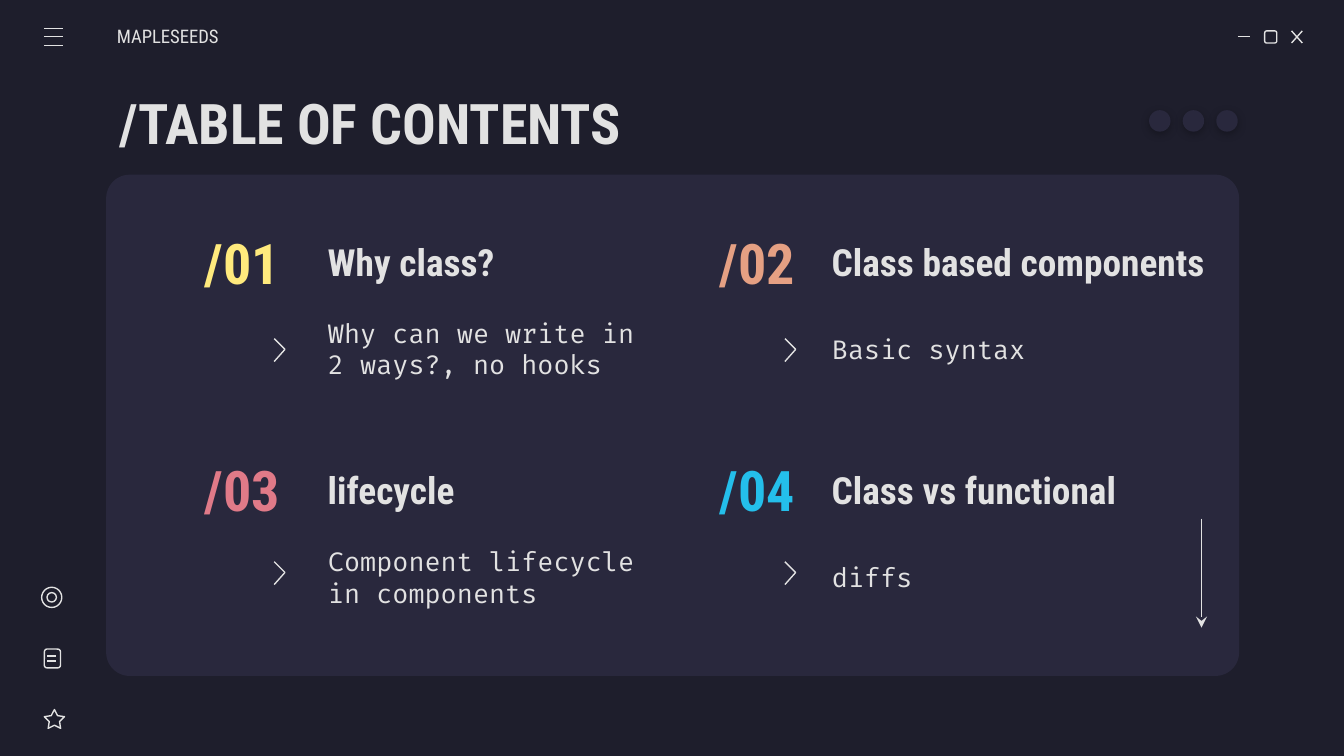
from lxml.etree import SubElement
from pptx import Presentation
from pptx.dml.color import RGBColor
from pptx.enum.shapes import MSO_CONNECTOR, MSO_SHAPE as Preset
from pptx.enum.text import MSO_ANCHOR, MSO_AUTO_SIZE, PP_ALIGN as Align
from pptx.oxml.ns import qn
from pptx.util import Inches, Pt

NIGHT, PANEL, LIGHT = "1E1E2C", "29283D", "E2E2E2"
SANS, CODE = "Roboto Condensed", "Fira Code"

BRAND = "MAPLESEEDS"
TITLE = "/TABLE OF CONTENTS"
TOPICS = [
    ("/01", "FFEA7D", "Why class?", "Why can we write in 2 ways?, no hooks"),
    ("/02", "E5A083", "Class based components", "Basic syntax"),
    ("/03", "E07A88", "lifecycle", "Component lifecycle in components"),
    ("/04", "24BFEB", "Class vs functional", "diffs"),
]
COLUMNS = [
    {"number": 1.35, "text": 2.34, "heading_width": 2.85, "chevron": 2.04},
    {"number": 5.18, "text": 6.09, "heading_width": 3.06, "chevron": 5.84},
]
ROWS = [
    {"heading": 1.67, "detail": 2.22, "chevron": 2.52},
    {"heading": 3.36, "detail": 3.92, "chevron": 4.18},
]
MENU_BARS = [(0.33, y, 0.47, y) for y in (0.21, 0.27, 0.34)]
NOTE_LINES = [(0.35, y, 0.42, y) for y in (4.88, 4.92)]
WINDOW_LINES = [(9.21, 0.27, 9.3, 0.27), (9.61, 0.23, 9.69, 0.32), (9.69, 0.23, 9.61, 0.32)]
ICONS = [
    (Preset.ROUNDED_RECTANGLE, 9.41, 0.23, 0.09, 0.09),
    (Preset.OVAL, 0.31, 4.37, 0.15, 0.15),
    (Preset.OVAL, 0.35, 4.41, 0.07, 0.07),
    (Preset.ROUNDED_RECTANGLE, 0.33, 4.83, 0.12, 0.14),
    (Preset.STAR_5_POINT, 0.33, 5.28, 0.15, 0.14),
]


def rgb(color):
    """Turn a hex string into a colour."""
    return RGBColor.from_string(color)


def outline(shape):
    """Give a shape a thin light outline."""
    shape.line.color.rgb = rgb(LIGHT)
    shape.line.width = Pt(0.75)


def write(box, at, text, size, font=SANS, color=LIGHT, bold=True, align=Align.LEFT, left_inset=0.1):
    """Place a text box or placeholder and fill it with one paragraph."""
    box.left, box.top, box.width, box.height = map(Inches, at)
    frame = box.text_frame
    frame.text = text
    frame.word_wrap = True
    frame.auto_size = MSO_AUTO_SIZE.NONE
    frame.vertical_anchor = MSO_ANCHOR.MIDDLE
    frame.margin_left = Inches(left_inset)
    frame.margin_top = frame.margin_right = frame.margin_bottom = Inches(0.1)
    paragraph = frame.paragraphs[0]
    paragraph.alignment = align
    paragraph.space_before = Pt(0)
    paragraph.font.size, paragraph.font.name, paragraph.font.bold = Pt(size), font, bold
    paragraph.font.color.rgb = rgb(color)
    return paragraph


def new_box(slide):
    """Add an unplaced text box."""
    return slide.shapes.add_textbox(0, 0, 0, 0)


def add_line(slide, ends):
    """Draw a thin light line without a shadow."""
    line = slide.shapes.add_connector(MSO_CONNECTOR.STRAIGHT, *map(Inches, ends))
    outline(line)
    SubElement(line._element.spPr, qn("a:effectLst"))
    return line


def add_filled(slide, preset, at, color):
    """Draw a filled shape without outline or shadow."""
    shape = slide.shapes.add_shape(preset, *map(Inches, at))
    shape.fill.solid()
    shape.fill.fore_color.rgb = rgb(color)
    shape.line.fill.background()
    shape.shadow.inherit = False
    return shape


def add_dot(slide, left):
    """Draw a dot with a soft shadow below it."""
    dot = add_filled(slide, Preset.OVAL, (left, 0.82, 0.16, 0.16), PANEL)
    effects = dot._element.spPr.find(qn("a:effectLst"))
    shadow = SubElement(effects, qn("a:outerShdw"), blurRad=str(Pt(4.5)), dist=str(Pt(1.5)),
                        dir="5400000", algn="bl", rotWithShape="0")
    black = SubElement(shadow, qn("a:srgbClr"), val="000000")
    SubElement(black, qn("a:alpha"), val="27000")


def add_chevron(slide, left, top):
    """Draw an open chevron pointing right."""
    builder = slide.shapes.build_freeform(Inches(left), Inches(top))
    tip, end = (left + 0.08, top + 0.08), (left, top + 0.17)
    builder.add_line_segments([tuple(map(Inches, point)) for point in (tip, end)], close=False)
    chevron = builder.convert_to_shape()
    chevron.fill.background()
    outline(chevron)
    chevron.shadow.inherit = False


def add_topic(slide, detail_box, topic, column, row):
    """Lay out one numbered topic."""
    number, color, heading, detail = topic
    write(new_box(slide), (column["number"], row["heading"], 0.91, 0.56), number, 30,
          color=color, align=Align.CENTER)
    write(new_box(slide), (column["text"], row["heading"], column["heading_width"], 0.56), heading, 20)
    paragraph = write(detail_box, (column["text"], row["detail"], 2.56, 0.75), detail, 14, CODE, bold=False)
    properties = paragraph._p.get_or_add_pPr()
    properties.set("marL", "0")
    properties.set("indent", "0")
    bullet = SubElement(properties, qn("a:buNone"))
    properties.find(qn("a:defRPr")).addprevious(bullet)
    add_chevron(slide, column["chevron"], row["chevron"])


def main():
    """Build and save the slide."""
    deck = Presentation()
    deck.slide_width = Inches(10)
    deck.slide_height = deck.slide_width * 9 // 16
    slide = deck.slides.add_slide(deck.slide_layouts.get_by_name("Comparison"))
    slide.background.fill.solid()
    slide.background.fill.fore_color.rgb = rgb(NIGHT)

    panel = add_filled(slide, Preset.ROUNDED_RECTANGLE, (0.79, 1.3, 8.43, 3.73), PANEL)
    panel.adjustments[0] = 0.047
    slide.shapes._spTree.insert(2, panel._element)

    write(slide.shapes.title, (0.79, 0.59, 8.43, 0.63), TITLE, 30)
    write(new_box(slide), (0.87, 0.12, 1.17, 0.3), BRAND, 10, bold=False, left_inset=0)
    detail_boxes = list(slide.placeholders)[1:]
    for index, (topic, detail_box) in enumerate(zip(TOPICS, detail_boxes)):
        row, column = divmod(index, 2)
        add_topic(slide, detail_box, topic, COLUMNS[column], ROWS[row])

    for ends in MENU_BARS + NOTE_LINES + WINDOW_LINES:
        add_line(slide, ends)
    for preset, *at in ICONS:
        icon = slide.shapes.add_shape(preset, *map(Inches, at))
        icon.fill.background()
        outline(icon)
        icon.shadow.inherit = False
        if preset == Preset.STAR_5_POINT:
            icon.adjustments[0] = 0.254
    for index in range(3):
        add_dot(slide, 8.55 + 0.25 * index)
    arrow = add_line(slide, (8.94, 3.86, 8.94, 4.67))
    SubElement(arrow.line._get_or_add_ln(), qn("a:tailEnd"), type="stealth")
    deck.save("out.pptx")


if __name__ == "__main__":
    main()
